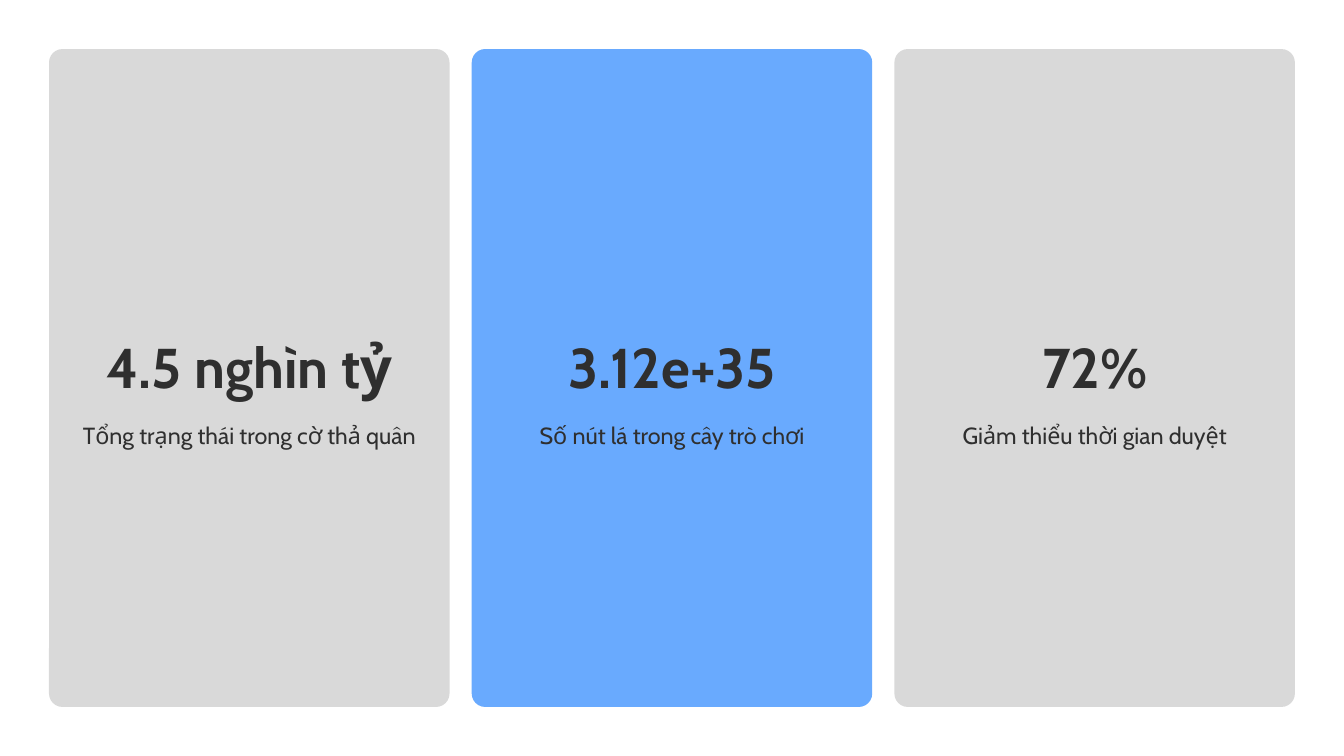
from pptx import Presentation
from pptx.dml.color import RGBColor
from pptx.enum.shapes import MSO_SHAPE as Shape
from pptx.enum.text import MSO_ANCHOR as Anchor, PP_ALIGN as Align
from pptx.util import Inches, Pt

COLORS = {"gray": "D9D9D9", "blue": "69AAFE", "text": "2F2F2F"}
FONT = "Cabin"

MARGIN = 0.73
CARD_WIDTH, CARD_HEIGHT = 5.96, 9.79
CARD_PITCH = 6.29
CORNER_RADIUS = 0.2
TEXT_INSET = 0.33

CARDS = [
    ("4.5 nghìn tỷ", "Tổng trạng thái trong cờ thả quân", "gray"),
    ("3.12e+35", "Số nút lá trong cây trò chơi", "blue"),
    ("72%", "Giảm thiểu thời gian duyệt", "gray"),
]


def add_panel(slide, left, color):
    shape = slide.shapes.add_shape(
        Shape.ROUNDED_RECTANGLE, Inches(left), Inches(MARGIN),
        Inches(CARD_WIDTH), Inches(CARD_HEIGHT))
    shape.adjustments[0] = CORNER_RADIUS / CARD_WIDTH
    shape.shadow.inherit = False
    shape.fill.solid()
    shape.fill.fore_color.rgb = RGBColor.from_string(COLORS[color])
    shape.line.fill.background()


def add_label(slide, text, left, top, height, size, line_spacing, bold=False):
    width = CARD_WIDTH - 2 * TEXT_INSET
    box = slide.shapes.add_textbox(
        Inches(left), Inches(top), Inches(width), Inches(height))
    frame = box.text_frame
    frame.word_wrap = True
    frame.vertical_anchor = Anchor.TOP
    frame.margin_left = frame.margin_right = 0
    frame.margin_top = frame.margin_bottom = 0
    paragraph = frame.paragraphs[0]
    paragraph.text = text
    paragraph.alignment = Align.CENTER
    paragraph.line_spacing = Pt(line_spacing)
    font = paragraph.font
    font.name = FONT
    font.size = Pt(size)
    font.bold = bold
    font.color.rgb = RGBColor.from_string(COLORS["text"])


def add_card(slide, left, figure, caption, color):
    add_panel(slide, left, color)
    text_left = left + TEXT_INSET
    add_label(slide, figure, text_left, 5.12, 1.02, 60, 60, bold=True)
    add_label(slide, caption, text_left, 6.2, 0.49, 25, 35)


def main():
    presentation = Presentation()
    presentation.slide_width = Inches(20)
    presentation.slide_height = Inches(11.25)
    slide = presentation.slides.add_slide(presentation.slide_layouts[6])
    for index, (figure, caption, color) in enumerate(CARDS):
        add_card(slide, MARGIN + index * CARD_PITCH, figure, caption, color)
    presentation.save("out.pptx")


if __name__ == "__main__":
    main()
